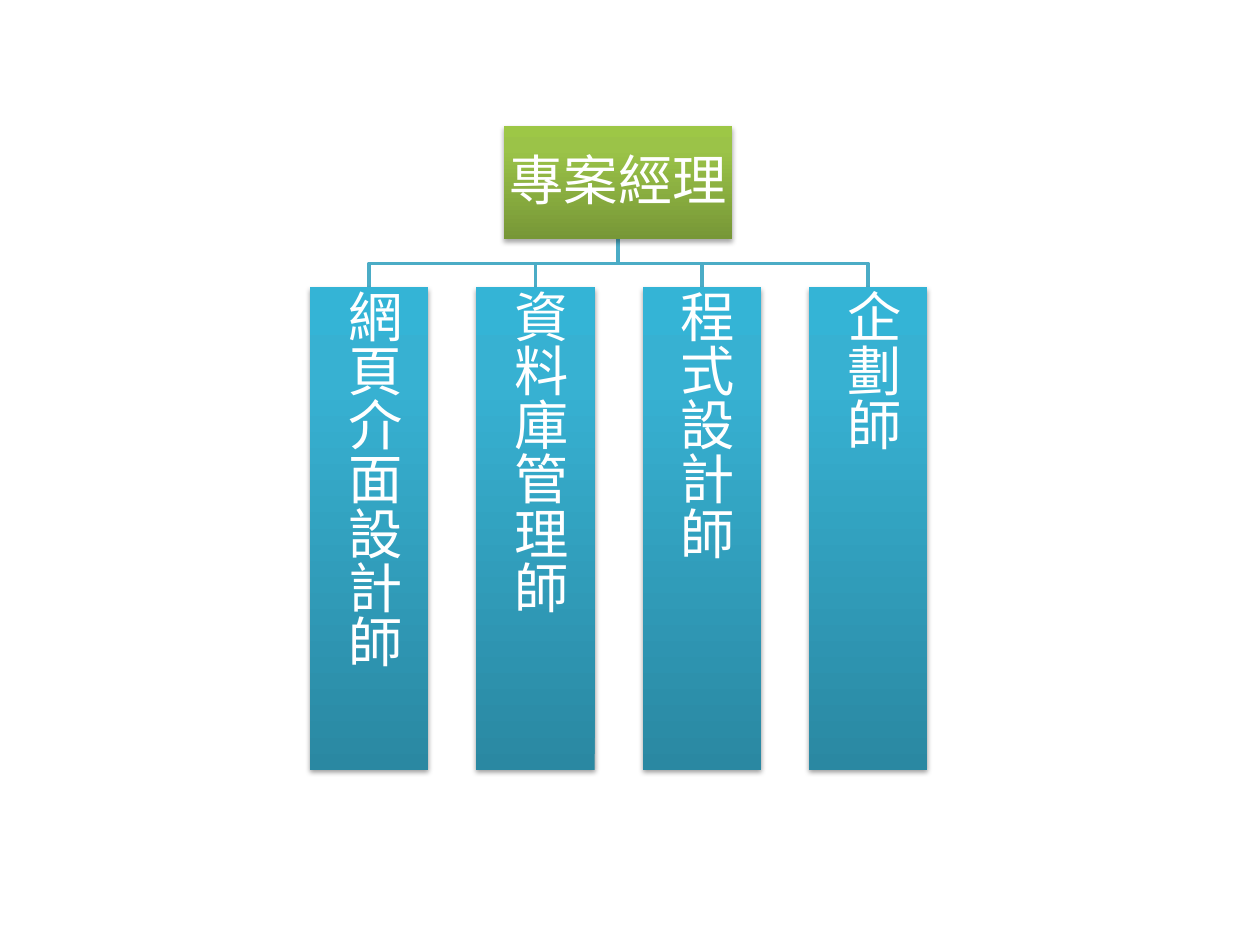
from lxml import etree
from pptx import Presentation
from pptx.dml.color import RGBColor
from pptx.enum.shapes import MSO_SHAPE
from pptx.enum.text import MSO_ANCHOR, PP_ALIGN
from pptx.oxml.ns import qn
from pptx.util import Inches, Pt

RECTANGLE = MSO_SHAPE.RECTANGLE
MIDDLE = MSO_ANCHOR.MIDDLE
CENTER, START = PP_ALIGN.CENTER, PP_ALIGN.LEFT

GREEN = [(0, "779737"), (80, "9BC348"), (100, "9DC746")]
BLUE = [(0, "2A88A2"), (80, "37B1D2"), (100, "34B4D6")]


def color(value):
    """Return the colour of a hex string."""
    return RGBColor.from_string(value)


def add_xml(parent, tag, **attributes):
    """Append a child element with the given attributes."""
    child = etree.SubElement(parent, qn(tag))
    for name, value in attributes.items():
        child.set(name, str(value))
    return child


class OrgChart:
    """Style and drawing methods for one slide."""

    font = {"name": "Noto Sans CJK SC", "size": Pt(31)}
    frame_format = {
        "word_wrap": True,
        "vertical_anchor": MIDDLE,
        "margin_left": Inches(0.02),
        "margin_right": Inches(0.02),
        "margin_top": Inches(0.02),
        "margin_bottom": Inches(0.02),
    }
    text_color = "FFFFFF"
    line_color = "4BACC6"

    def __init__(self, page):
        self.page = page

    def branch(self, start, end):
        """Draw an elbow line from start down to end."""
        (x1, y1), (x2, y2) = start, end
        middle = (y1 + y2) / 2
        points = [(Inches(x), Inches(y))
                  for x, y in [(x1, middle), (x2, middle), (x2, y2)]]
        builder = self.page.shapes.build_freeform(Inches(x1), Inches(y1))
        builder.add_line_segments(points, close=False)
        elbow = builder.convert_to_shape()
        elbow.shadow.inherit = False
        elbow.fill.background()
        elbow.line.color.rgb = color(self.line_color)
        elbow.line.width = Pt(2)

    def box(self, text, left, top, width, height, stops, shadow, vertical=False):
        """Draw a shaded box with horizontal or vertical text."""
        box = self.page.shapes.add_shape(
            RECTANGLE, Inches(left), Inches(top), Inches(width), Inches(height))
        box.line.fill.background()
        self.shade(box, stops)
        self.cast_shadow(box, *shadow)
        self.label(box.text_frame, text, vertical)

    def shade(self, box, stops):
        """Fill a box with a gradient running upwards."""
        box.fill.gradient()
        box.fill.gradient_angle = 90
        stop_list = box.element.spPr.find(".//" + qn("a:gsLst"))
        for stop in list(stop_list):
            stop_list.remove(stop)
        for position, value in stops:
            stop = add_xml(stop_list, "a:gs", pos=position * 1000)
            add_xml(stop, "a:srgbClr", val=value)

    def cast_shadow(self, box, opacity, distance):
        """Add a soft shadow below a box."""
        box.shadow.inherit = False
        effects = box.element.spPr.find(qn("a:effectLst"))
        outer = add_xml(effects, "a:outerShdw", blurRad=Pt(3.1),
                        dist=Pt(distance), dir=90 * 60000, rotWithShape=0)
        black = add_xml(outer, "a:srgbClr", val="000000")
        add_xml(black, "a:alpha", val=opacity * 1000)

    def label(self, frame, text, vertical):
        """Put one styled paragraph into a text frame."""
        for name, value in self.frame_format.items():
            setattr(frame, name, value)
        if vertical:
            frame._txBody.bodyPr.set("vert", "eaVert")
        para = frame.paragraphs[0]
        para.alignment = START if vertical else CENTER
        para.line_spacing = 0.9
        span = para.add_run()
        span.text = text
        for name, value in self.font.items():
            setattr(span.font, name, value)
        span.font.color.rgb = color(self.text_color)
        add_xml(span.font._element, "a:ea", typeface=self.font["name"])


def main():
    """Build the project team chart."""
    deck = Presentation()
    deck.slide_width, deck.slide_height = Inches(10), Inches(7.5)
    chart = OrgChart(deck.slides.add_slide(deck.slide_layouts[6]))

    manager_left, manager_top, manager_width, manager_height = 4, 1, 1.81, 0.9
    post_left, post_top, post_width, post_height, pitch = 2.46, 2.28, 0.94, 3.83, 1.32
    posts = [(post_left + index * pitch, title) for index, title in enumerate(
        ["網頁介面設計師", "資料庫管理師", "程式設計師", "企劃師"])]

    trunk = (manager_left + manager_width / 2, manager_top + manager_height)
    for left, _ in posts:
        chart.branch(trunk, (left + post_width / 2, post_top))
    chart.box("專案經理", manager_left, manager_top, manager_width,
              manager_height, GREEN, (35, 1.8))
    for left, title in posts:
        chart.box(title, left, post_top, post_width, post_height,
                  BLUE, (38, 1.6), vertical=True)
    deck.save("out.pptx")


main()
